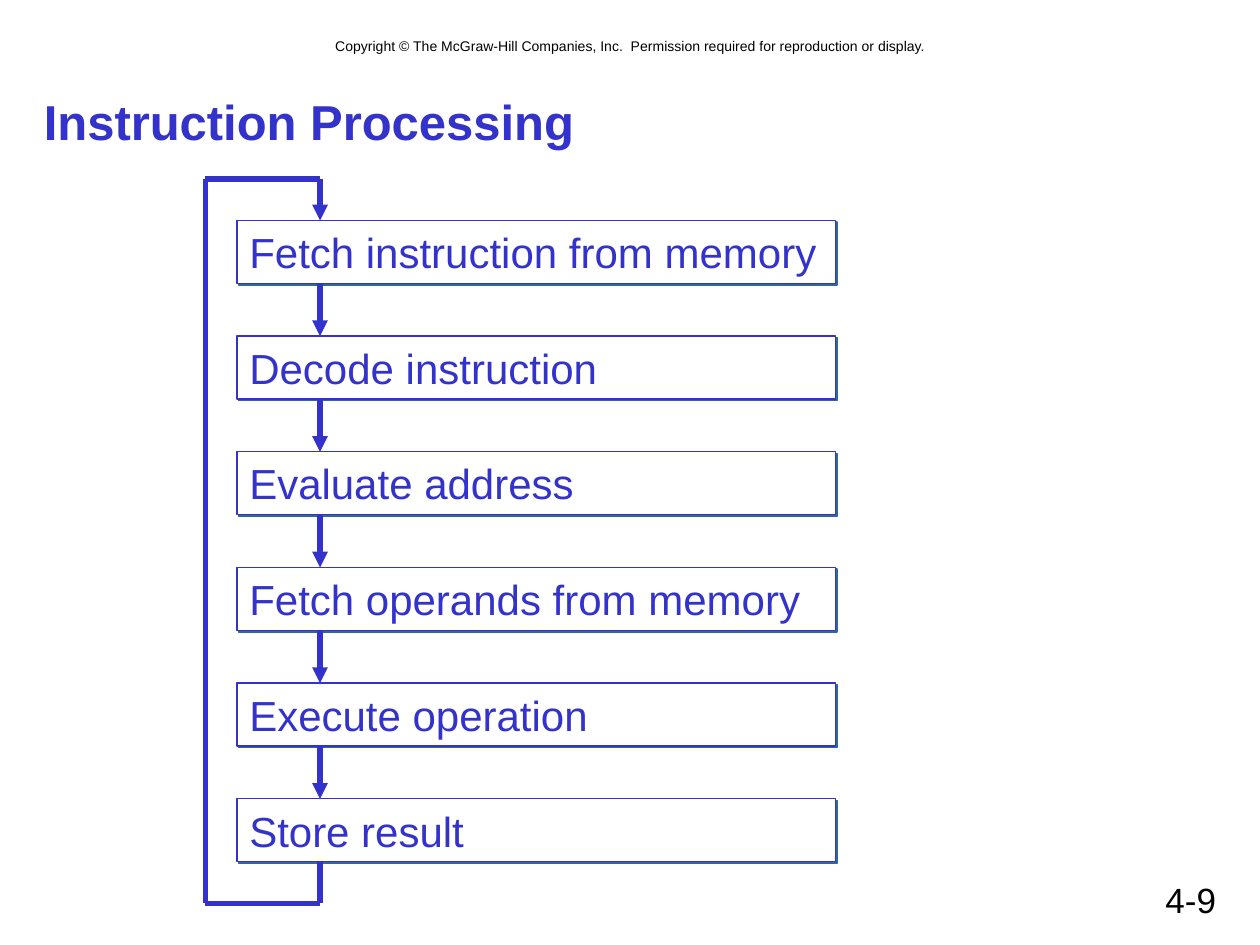
import pptx
import pptx.dml.color
import pptx.enum.shapes
import pptx.enum.text
import pptx.oxml.ns
import pptx.util
from lxml import etree

Inches = pptx.util.Inches
Pt = pptx.util.Pt
qn = pptx.oxml.ns.qn
Align = pptx.enum.text.PP_ALIGN
Anchor = pptx.enum.text.MSO_ANCHOR

BLUE = "3333CC"
STEPS = [
    "Fetch instruction from memory",
    "Decode instruction",
    "Evaluate address",
    "Fetch operands from memory",
    "Execute operation",
    "Store result",
]


def color(value):
    return pptx.dml.color.RGBColor.from_string(value)


def write_text(shape, text, size, value, align=Align.LEFT, anchor=Anchor.TOP, bold=False):
    frame = shape.text_frame
    frame.word_wrap = True
    frame.vertical_anchor = anchor
    frame.text = text
    para = frame.paragraphs[0]
    para.alignment = align
    span = para.runs[0]
    span.font.name = "Arial"
    span.font.size = Pt(size)
    span.font.bold = bold
    span.font.color.rgb = color(value)


def add_label(page, left, top, width, height, text, size, value, **style):
    box = page.shapes.add_textbox(Inches(left), Inches(top), Inches(width), Inches(height))
    write_text(box, text, size, value, **style)


def add_step(page, left, top, width, height, text):
    box = page.shapes.add_shape(
        pptx.enum.shapes.MSO_SHAPE.RECTANGLE,
        Inches(left), Inches(top), Inches(width), Inches(height),
    )
    box.fill.solid()
    box.fill.fore_color.rgb = color("FFFFFF")
    box.line.color.rgb = color(BLUE)
    box.line.width = Pt(0.75)
    box.shadow.inherit = False
    effects = box._element.spPr.find(qn("a:effectLst"))
    shadow = etree.SubElement(
        effects, qn("a:outerShdw"), dist=str(Pt(1.4)), dir="2700000", algn="ctr", rotWithShape="0"
    )
    etree.SubElement(shadow, qn("a:srgbClr"), val="336699")
    write_text(box, text, 24, BLUE)


def add_line(page, start, end, arrow=False):
    line = page.shapes.add_connector(
        pptx.enum.shapes.MSO_CONNECTOR.STRAIGHT, *map(Inches, (*start, *end))
    )
    line.line.color.rgb = color(BLUE)
    line.line.width = Pt(3)
    properties = line._element.spPr
    if arrow:
        etree.SubElement(properties.find(qn("a:ln")), qn("a:tailEnd"), type="triangle")
    etree.SubElement(properties, qn("a:effectLst"))


def add_cycle(page, left, top, width, height):
    box_left = left + 0.25
    box_height = 0.5
    lead = 0.33
    stem = left + 0.91
    bottom = top + height
    first = top + lead
    pitch = (height - 2 * lead - box_height) / (len(STEPS) - 1)

    for index, step in enumerate(STEPS):
        box_top = first + index * pitch
        add_step(page, box_left, box_top, width - 0.25, box_height, step)
        if index:
            add_line(page, (stem, box_top - pitch + box_height), (stem, box_top), arrow=True)

    corners = [
        (stem, bottom - lead), (stem, bottom), (left, bottom),
        (left, top), (stem, top), (stem, first),
    ]
    for start, end in zip(corners, corners[1:]):
        add_line(page, start, end, arrow=end == corners[-1])


def main():
    deck = pptx.Presentation()
    deck.slide_width = Inches(10)
    deck.slide_height = Inches(7.5)
    page = deck.slides.add_slide(deck.slide_layouts[6])
    add_label(
        page, 0.67, 0.25, 8.67, 0.24,
        "Copyright © The McGraw-Hill Companies, Inc.  Permission required for reproduction or display.",
        8, "000000", align=Align.CENTER,
    )
    add_label(
        page, 0.25, 0.67, 9.5, 0.58, "Instruction Processing",
        28, BLUE, anchor=Anchor.MIDDLE, bold=True,
    )
    add_cycle(page, 1.63, 1.42, 5, 5.75)
    add_label(page, 7.17, 6.92, 2.58, 0.42, "4-9", 20, "000000", align=Align.RIGHT)
    deck.save("out.pptx")


if __name__ == "__main__":
    main()
